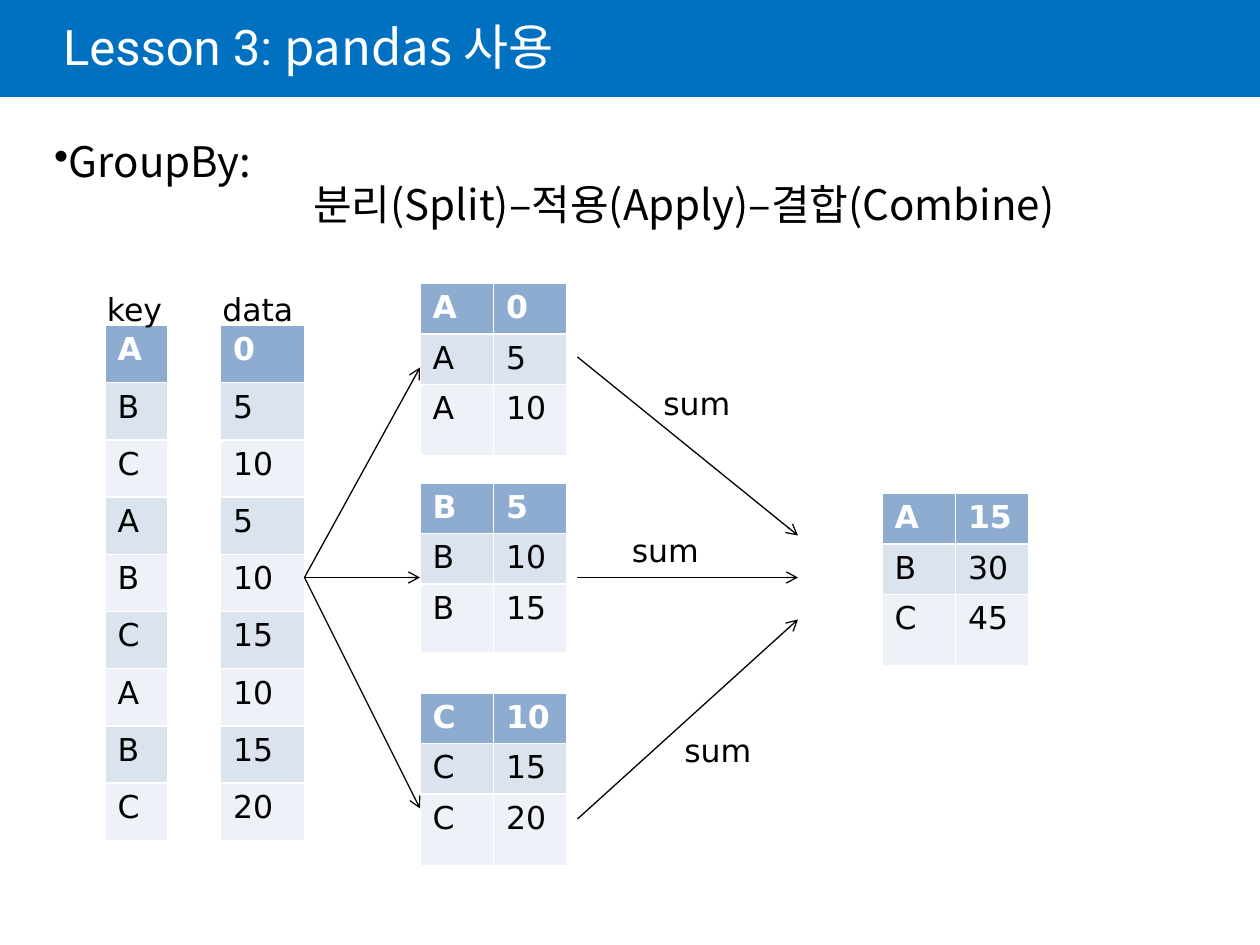
from lxml import etree
from pptx import Presentation
from pptx.dml.color import RGBColor
from pptx.enum.shapes import MSO_CONNECTOR, MSO_SHAPE
from pptx.enum.text import MSO_ANCHOR, MSO_AUTO_SIZE, PP_ALIGN
from pptx.oxml.ns import qn
from pptx.util import Pt

LINE = MSO_CONNECTOR.STRAIGHT
RECT = MSO_SHAPE.RECTANGLE
MIDDLE = MSO_ANCHOR.MIDDLE
LEFT = PP_ALIGN.LEFT
FIT = MSO_AUTO_SIZE.SHAPE_TO_FIT_TEXT
FIXED = MSO_AUTO_SIZE.NONE

KOREAN = "Noto Sans CJK KR"
KEYS = "ABCABCABC"
DATA = [0, 5, 10, 5, 10, 15, 10, 15, 20]


def color(code):
    return RGBColor.from_string(code)


class Page:
    sans = "DejaVu Sans"
    size = 18
    black, white, blue = "000000", "FFFFFF", "0070C0"
    head, bands = "8DACD0", ("EEF1F7", "DBE3EE")

    def __init__(self, slide):
        self.slide = slide
        self.shapes = slide.shapes

    def style(self, font, name, size, code, bold=False):
        font.name, font.size, font.bold = name, Pt(size), bold
        font.color.rgb = color(code)

    def run(self, para, text, name, size, code):
        """Add a run whose Latin and East Asian fonts are the same."""
        run = para.add_run()
        run.text = text
        self.style(run.font, name, size, code)
        props = run.font._element if hasattr(run.font, "_element") else run._r.get_or_add_rPr()
        east = etree.SubElement(props, qn("a:ea"))
        east.set("typeface", KOREAN)

    def title(self, parts):
        title = self.shapes.title
        title.left, title.top, title.width, title.height = (
            Pt(36), Pt(0), Pt(612), Pt(58.3))
        frame = title.text_frame
        frame.auto_size, frame.word_wrap = FIXED, True
        frame.vertical_anchor = MIDDLE
        frame.margin_left = 0
        para = frame.paragraphs[0]
        para.alignment, para.line_spacing = LEFT, 0.85
        for text, name in parts:
            self.run(para, text, name, 28, self.white)

    def bar(self, width, height):
        bar = self.shapes.add_shape(RECT, 0, 0, Pt(width), Pt(height))
        bar.shadow.inherit = False
        bar.fill.solid()
        bar.fill.fore_color.rgb = color(self.blue)
        bar.line.fill.background()
        self.shapes.title.element.addprevious(bar.element)

    def body(self, lead, steps):
        box = self.shapes.add_textbox(Pt(23.8), Pt(78.5), Pt(654), Pt(65.5))
        frame = box.text_frame
        frame.word_wrap, frame.auto_size = True, FIT
        first, second = frame.paragraphs[0], frame.add_paragraph()
        for para, text in ((first, lead), (second, steps)):
            para.line_spacing = 0.85
            self.run(para, text, KOREAN, 24, self.black)
        props = first._p.get_or_add_pPr()
        etree.SubElement(props, qn("a:buChar")).set("char", "•")
        second._p.get_or_add_pPr().set("marL", str(Pt(148)))

    def label(self, text, left, top, width):
        box = self.shapes.add_textbox(Pt(left), Pt(top), Pt(width), Pt(29))
        frame = box.text_frame
        frame.word_wrap, frame.auto_size = False, FIT
        para = frame.paragraphs[0]
        para.text = text
        self.style(para.font, self.sans, self.size, self.black)

    def table(self, rows, left, top, width, heights):
        count = len(rows[0])
        table = self.shapes.add_table(
            len(rows), count, Pt(left), Pt(top),
            Pt(width * count), Pt(sum(heights))).table
        for col in table.columns:
            col.width = Pt(width)
        for i, (row, height) in enumerate(zip(rows, heights)):
            table.rows[i].height = Pt(height)
            for j, value in enumerate(row):
                cell = table.cell(i, j)
                cell.fill.solid()
                cell.fill.fore_color.rgb = color(
                    self.bands[i % 2] if i else self.head)
                para = cell.text_frame.paragraphs[0]
                para.text = str(value)
                self.style(para.font, self.sans, self.size,
                           self.black if i else self.white, i == 0)

    def arrow(self, start, end):
        line = self.shapes.add_connector(LINE, *map(Pt, start + end))
        line.line.color.rgb = color(self.black)
        line.line.width = Pt(0.75)
        tail = etree.SubElement(line.line._get_or_add_ln(), qn("a:tailEnd"))
        tail.set("type", "arrow")
        etree.SubElement(line._element.spPr, qn("a:effectLst"))


def main():
    deck = Presentation()
    deck.slide_width, deck.slide_height = Pt(720), Pt(540)
    page = Page(deck.slides.add_slide(deck.slide_layouts[5]))

    page.bar(720, 55.4)
    page.title([("Lesson 3: ", "Roboto"), ("pandas 사용", KOREAN)])
    page.body("GroupBy:", "분리(Split)–적용(Apply)–결합(Combine)")

    tall = [32.7] * len(KEYS)
    page.table([[key] for key in KEYS], 60, 186, 36, tall)
    page.table([[value] for value in DATA], 126, 186, 48, tall)
    page.label("key", 54, 162, 46.8)
    page.label("data", 120, 162, 54.7)

    sums = []
    for key, top, last in (("A", 162, 41), ("B", 276, 39.6), ("C", 396, 41)):
        group = [(k, v) for k, v in zip(KEYS, DATA) if k == key]
        page.table(group, 240, top, 42, [28.4, 28.8, last])
        sums.append((key, sum(v for _, v in group)))
    page.table(sums, 504, 282, 42, [28.4, 28.8, 41])

    for end in (210, 330, 462):
        page.arrow((174, 330), (240, end))
    for start, end in ((204, 306), (330, 330), (468, 354)):
        page.arrow((330, start), (456, end))
    for left, top in ((372, 216), (354, 300), (384, 414)):
        page.label("sum", left, top, 53.3)

    deck.save("out.pptx")


if __name__ == "__main__":
    main()
